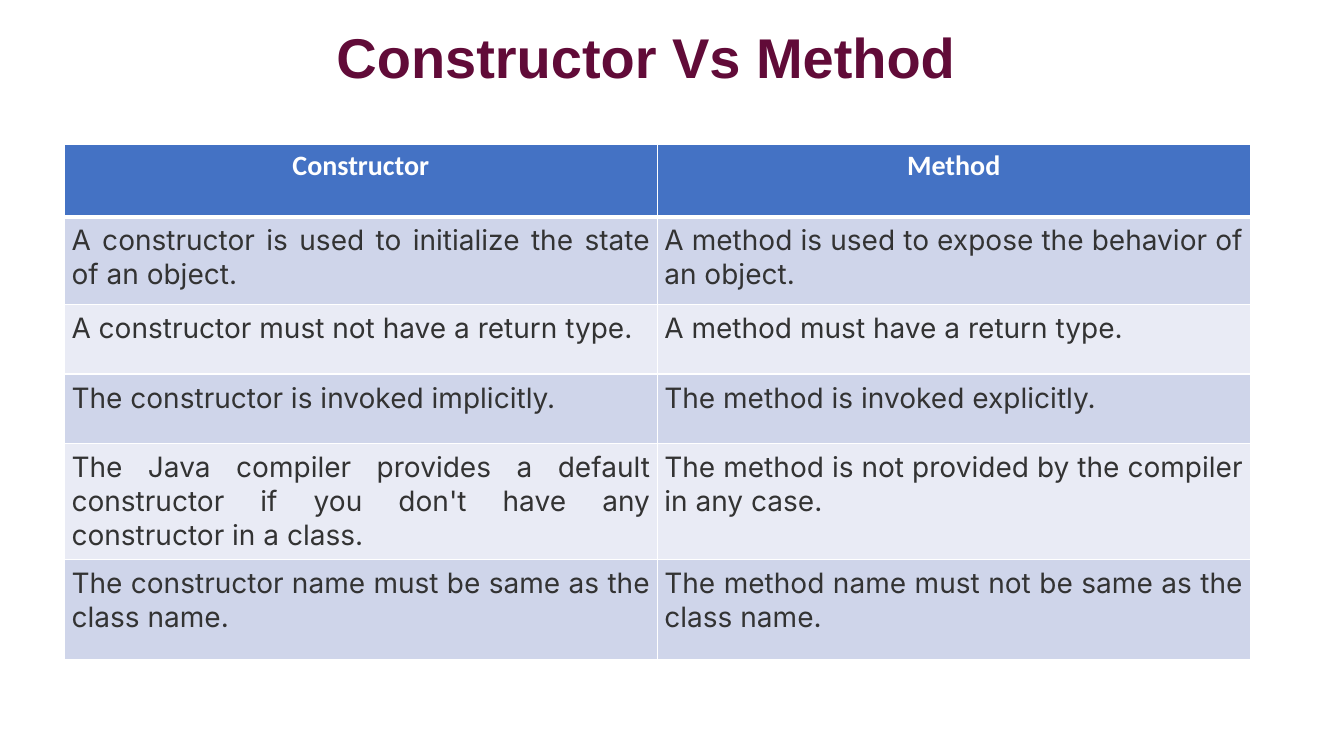
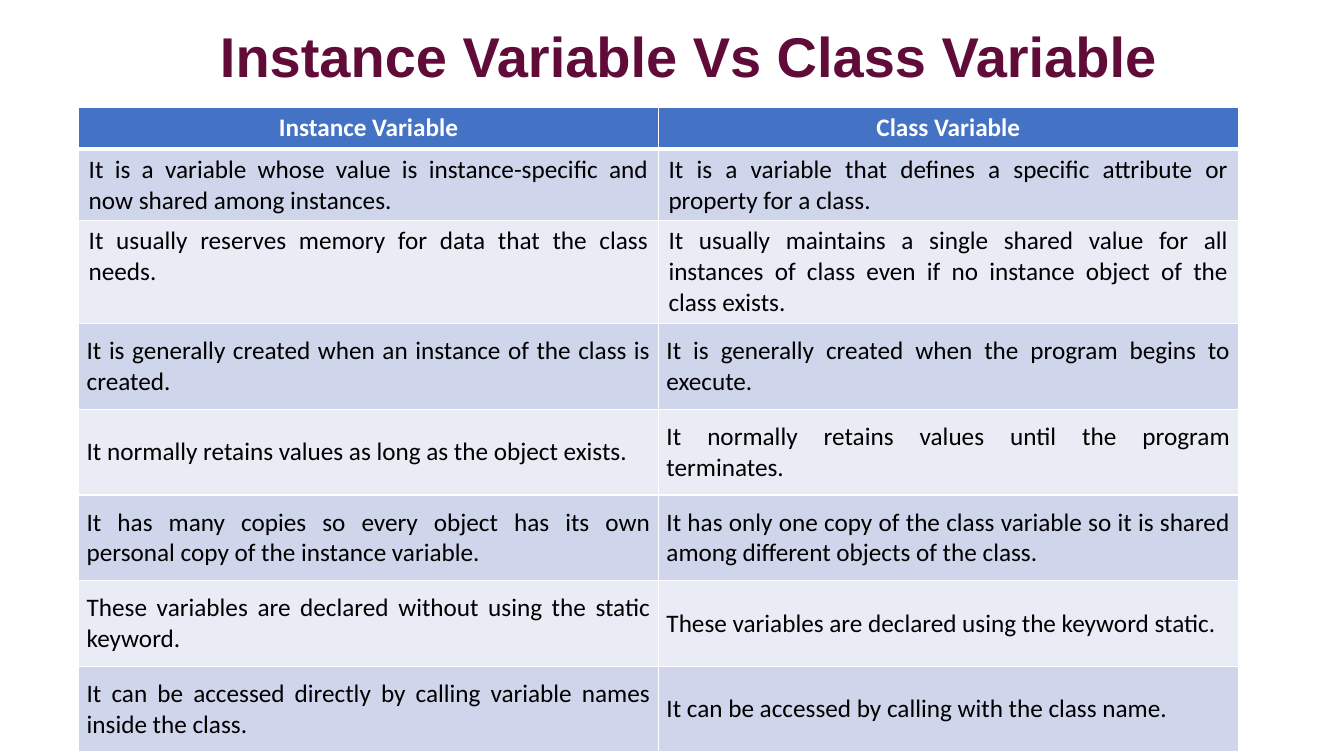
from lxml import etree
from pptx import Presentation
from pptx import util as u
from pptx.dml.color import RGBColor
from pptx.enum import text
from pptx.oxml import ns

W, H = u.Inches(13.33), u.Inches(7.5)
COLORS = {
    "title": "610B38",
    "header": "4472C4",
    "band": "CFD5EA",
    "plain": "E9EBF5",
    "white": "FFFFFF",
    "gray": "333333",
    "black": "000000",
}
CELL_INSETS = (0.1, 0.05)

METHOD_ROWS = [
    ("Constructor", "Method"),
    ("A constructor is used to initialize the state of an object.",
     "A method is used to expose the behavior of an object."),
    ("A constructor must not have a return type.",
     "A method must have a return type."),
    ("The constructor is invoked implicitly.",
     "The method is invoked explicitly."),
    ("The Java compiler provides a default constructor if you don't have any constructor in a class.",
     "The method is not provided by the compiler in any case."),
    ("The constructor name must be same as the class name.",
     "The method name must not be same as the class name."),
]
VARIABLE_ROWS = [
    ("Instance Variable", "Class Variable"),
    ("It is a variable whose value is instance-specific and now shared among instances.",
     "It is a variable that defines a specific attribute or property for a class."),
    ("It usually reserves memory for data that the class needs.",
     "It usually maintains a single shared value for all instances of class even if no instance object of the class exists."),
    ("It is generally created when an instance of the class is created.",
     "It is generally created when the program begins to execute."),
    ("It normally retains values as long as the object exists.",
     "It normally retains values until the program terminates."),
    ("It has many copies so every object has its own personal copy of the instance variable.",
     "It has only one copy of the class variable so it is shared among different objects of the class."),
    ("These variables are declared without using the static keyword.",
     "These variables are declared using the keyword static."),
    ("It can be accessed directly by calling variable names inside the class.",
     "It can be accessed by calling with the class name."),
]


def across(percent):
    return u.Emu(round(W * percent / 100))


def down(percent):
    return u.Emu(round(H * percent / 100))


def rgb(name):
    return RGBColor.from_string(COLORS[name])


def write(tf, words, size, color, font="Calibri", bold=False,
          align=text.PP_ALIGN.CENTER, spacing=None):
    p = tf.paragraphs[0]
    p.alignment = align
    p.line_spacing = spacing
    r = p.add_run()
    r.text = words
    r.font.size = u.Pt(size)
    r.font.name = font
    r.font.bold = bold
    r.font.color.rgb = rgb(color)


def add_title(s, words, indent=0, spacing=0.9):
    sp = s.shapes.title
    sp.left, sp.top = across(3.15), down(3.07)
    sp.width, sp.height = across(89.8), down(9.87)
    tf = sp.text_frame
    tf.word_wrap = True
    tf.auto_size = text.MSO_AUTO_SIZE.NONE
    tf.vertical_anchor = text.MSO_ANCHOR.MIDDLE
    tf.margin_left = u.Inches(0.1) + across(indent)
    write(tf, words, 40, "title", font="Arial", bold=True, spacing=spacing)


def add_borders(cell, top=1, bottom=1):
    tcPr = cell._tc.get_or_add_tcPr()
    widths = {"lnL": 1, "lnR": 1, "lnT": top, "lnB": bottom}
    for i, (side, width) in enumerate(widths.items()):
        ln = etree.Element(ns.qn(f"a:{side}"), w=str(u.Pt(width)))
        fill = etree.SubElement(ln, ns.qn("a:solidFill"))
        etree.SubElement(fill, ns.qn("a:srgbClr"), val=COLORS["white"])
        tcPr.insert(i, ln)


def set_insets(cell, insets):
    cell.margin_left = cell.margin_right = u.Inches(insets[0])
    cell.margin_top = cell.margin_bottom = u.Inches(insets[1])


def add_comparison(s, rows, left, top, col_width, heights, size, color, font,
                   insets=CELL_INSETS, inset_from=1, anchor=text.MSO_ANCHOR.TOP):
    frame = s.shapes.add_table(len(rows), 2, across(left), down(top),
                               across(2 * col_width), down(sum(heights)))
    table = frame.table
    for column in table.columns:
        column.width = across(col_width)
    for i, (row, height) in enumerate(zip(rows, heights)):
        table.rows[i].height = down(height)
        for j, words in enumerate(row):
            cell = table.cell(i, j)
            cell.fill.solid()
            add_borders(cell, top=3 if i == 1 else 1, bottom=3 if i == 0 else 1)
            if i >= inset_from:
                set_insets(cell, insets)
                cell.vertical_anchor = anchor
            if i == 0:
                cell.fill.fore_color.rgb = rgb("header")
                write(cell.text_frame, words, size, "white", bold=True)
            else:
                cell.fill.fore_color.rgb = rgb("band" if i % 2 else "plain")
                write(cell.text_frame, words, size, color, font=font,
                      align=text.PP_ALIGN.JUSTIFY)


def main():
    prs = Presentation()
    prs.slide_width, prs.slide_height = W, H
    layout = prs.slide_layouts[5]

    s = prs.slides.add_slide(layout)
    add_title(s, "Constructor Vs Method")
    add_comparison(s, METHOD_ROWS, 4.8, 19.07, 44.11,
                   [9.6, 11.6, 9.2, 9.2, 15.2, 13.3],
                   20, "gray", "Inter", insets=(0.07, 0.07))

    s = prs.slides.add_slide(layout)
    add_title(s, "Instance Variable Vs Class Variable", indent=6.3, spacing=u.Pt(40.6))
    add_comparison(s, VARIABLE_ROWS, 5.85, 14.27, 43.14,
                   [5.47, 9.3, 13.6] + [11.2] * 5,
                   18, "black", "Calibri", insets=(0.08, 0.12), inset_from=3,
                   anchor=text.MSO_ANCHOR.MIDDLE)

    prs.save("out.pptx")


if __name__ == "__main__":
    main()
